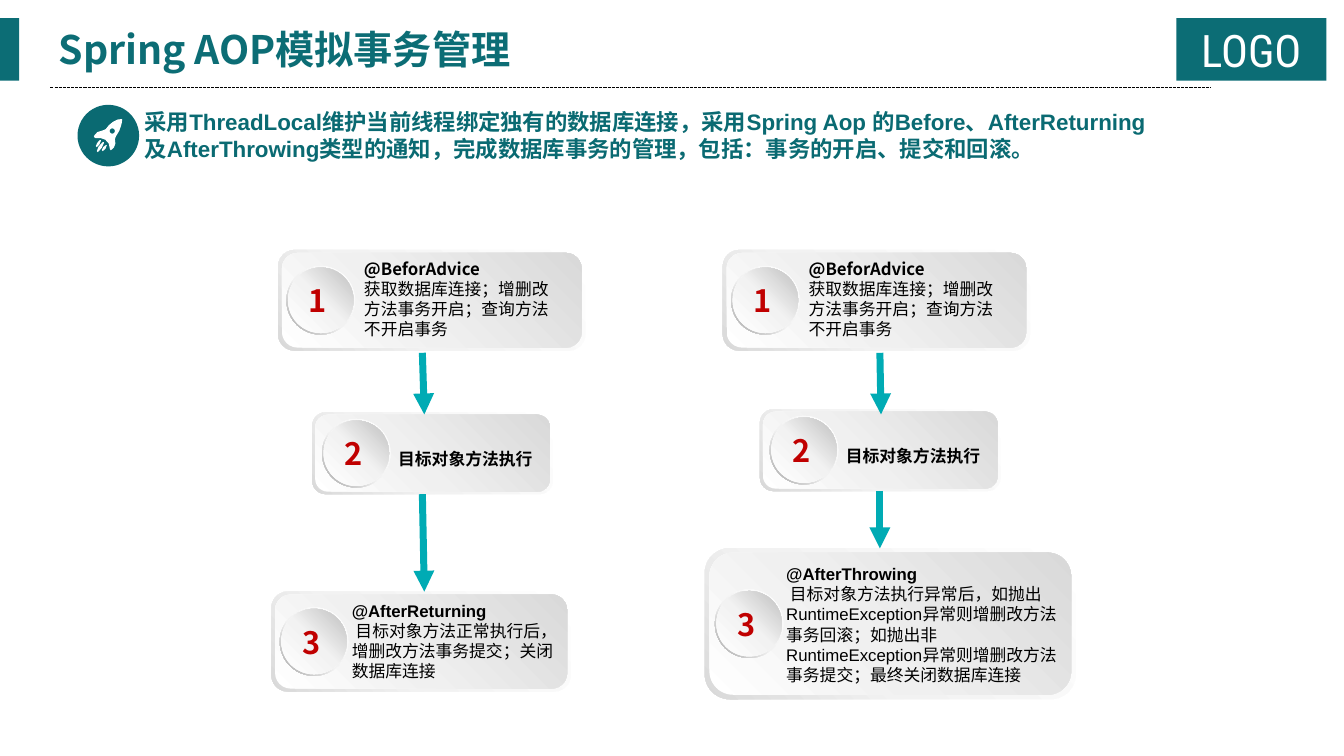
from copy import deepcopy
from math import cos, pi, sin

from lxml import etree
from pptx import Presentation
from pptx.dml.color import RGBColor
from pptx.enum.dml import MSO_LINE
from pptx.enum.shapes import MSO_CONNECTOR, MSO_SHAPE as SHAPE
from pptx.enum.text import MSO_ANCHOR as ANCHOR, PP_ALIGN as ALIGN
from pptx.oxml.ns import qn
from pptx.util import Pt

SANS, ARIAL = "Noto Sans CJK SC", "Arial"
TEAL, DARK_TEAL, ARROW_TEAL = "0C6D75", "0A6A72", "00ABB4"
BADGE = 49

BEFORE = ["@BeforAdvice", "获取数据库连接；增删改方法事务开启；查询方法不开启事务"]
TARGET = ["目标对象方法执行"]
RETURNING = ["@AfterReturning", " 目标对象方法正常执行后，增删改方法事务提交；关闭数据库连接"]
THROWING = ["@AfterThrowing", " 目标对象方法执行异常后，如抛出RuntimeException异常则增删改方法"
            "事务回滚；如抛出非RuntimeException异常则增删改方法事务提交；最终关闭数据库连接"]

# number, card box, badge offset, text box, font, spacing of the heading, text
STEPS = [
    (1, (198.6, 178.5, 219.6, 72), 6, (260, 200, 142, 31), SANS, 0.7, BEFORE),
    (2, (223, 294.5, 172, 58.5), 7, (284.4, 314, 114.5, 28), SANS, None, TARGET),
    (3, (193.8, 422.5, 214, 71.5), 6, (251.3, 426.6, 144, 62.6), ARIAL, None, RETURNING),
    (1, (516.2, 178.5, 219.6, 72), 6, (577.6, 200, 142, 31), SANS, 0.7, BEFORE),
    (2, (542.8, 292.3, 172, 58.5), 7, (604.2, 311.8, 114.5, 28), SANS, None, TARGET),
    (3, (503.4, 391.5, 265, 108), 7.2, (561.6, 414.7, 196, 62.6), ARIAL, None, THROWING),
]
ARROWS = [
    (301.7, 252, 303.1, 296), (301.7, 353, 303.1, 422.6),
    (628.5, 252, 629.3, 296), (628.5, 350.6, 628.5, 391.7),
]
ROCKET_BODY = [
    (87.2, 85), (87.1, 87.2), (86.4, 90), (85.2, 93.4), (82.8, 97.4), (82.1, 99.4),
    (82.4, 102.6), (81.4, 105.3), (79.2, 107.4), (78.5, 106.6), (77.7, 102.6),
    (75.2, 99.8), (72, 98.7), (67.7, 98.6), (67, 97.2), (69.5, 94.4), (74.2, 92.9),
    (75.6, 92.2), (77.8, 89.4), (80.6, 87.1), (84, 85.4),
]
ROCKET_WINDOW = [(80.2 + 1.9 * cos(k * pi / 6), 93.6 - 1.9 * sin(k * pi / 6))
                 for k in range(12)]
ROCKET_FLAMES = [
    [(76.3, 103.7), (75.4, 106.2), (73.4, 108), (72.7, 107.3), (73.8, 105), (75.6, 103.7)],
    [(74.2, 101.5), (74.2, 102.2), (72.6, 105.8), (69.8, 108.7), (69.1, 108),
     (70.5, 104.6), (73.4, 101.5)],
    [(72, 100.1), (72, 100.8), (71, 103.2), (69.1, 105.1), (68.4, 104.4),
     (69.5, 102), (71.3, 100.1)],
]


def rgb(value):
    return RGBColor.from_string(value)


def points(*values):
    return [Pt(value) for value in values]


def add_filled(slide, kind, box, color):
    shape = slide.shapes.add_shape(kind, *points(*box))
    shape.shadow.inherit = False
    shape.line.fill.background()
    shape.fill.solid()
    shape.fill.fore_color.rgb = rgb(color)
    return shape


def add_shaded(slide, kind, box, stops, angle):
    """Add a shape with a three-stop gradient; the angle runs clockwise."""
    shape = add_filled(slide, kind, box, "FFFFFF")
    fill = shape.fill
    fill.gradient()
    stop_list = shape._element.spPr.find(".//" + qn("a:gsLst"))
    stop_list.append(deepcopy(stop_list[-1]))
    for stop, (position, color) in zip(fill.gradient_stops, stops):
        stop.position = position
        stop.color.rgb = rgb(color)
    fill.gradient_angle = 360 - angle
    return shape


def add_text(slide, box, paragraphs, size, color, font=SANS, bold=True,
             align=ALIGN.LEFT, anchor=ANCHOR.TOP):
    frame = slide.shapes.add_textbox(*points(*box)).text_frame
    frame.margin_left = frame.margin_right = 0
    frame.margin_top = frame.margin_bottom = 0
    frame.word_wrap = True
    frame.vertical_anchor = anchor
    frame.text = "\n".join(paragraphs)
    for paragraph in frame.paragraphs:
        paragraph.alignment = align
        for run in paragraph.runs:
            run.font.name, run.font.size, run.font.bold = font, Pt(size), bold
            run.font.color.rgb = rgb(color)
    return frame


def add_line(slide, ends, color, width):
    connector = slide.shapes.add_connector(MSO_CONNECTOR.STRAIGHT, *points(*ends))
    connector.line.color.rgb = rgb(color)
    connector.line.width = Pt(width)
    etree.SubElement(connector._element.spPr, qn("a:effectLst"))
    return connector


def add_arrow(slide, ends):
    arrow = add_line(slide, ends, ARROW_TEAL, 5)
    etree.SubElement(arrow.line._get_or_add_ln(), qn("a:tailEnd"), type="triangle")


def add_rocket(slide):
    add_filled(slide, SHAPE.OVAL, (55.4, 74.9, 44, 44), DARK_TEAL)
    body, *details = [[points(*vertex) for vertex in contour]
                      for contour in [ROCKET_BODY, ROCKET_WINDOW, *ROCKET_FLAMES]]
    builder = slide.shapes.build_freeform(*body[0])
    builder.add_line_segments(body[1:])
    for contour in details:
        builder.move_to(*contour[0])
        builder.add_line_segments(contour[1:])
    rocket = builder.convert_to_shape()
    rocket.shadow.inherit = False
    rocket.fill.solid()
    rocket.fill.fore_color.rgb = rgb("FFFFFF")
    rocket.line.fill.background()


def add_badge(slide, left, top, number):
    ring = add_shaded(slide, SHAPE.DONUT, (left, top, BADGE, BADGE),
                      [(0, "FFFFFF"), (0.55, "F2F2F2"), (1, "A6A6A6")], 135)
    ring.adjustments[0] = 0.049
    add_shaded(slide, SHAPE.OVAL, (left + 1.1, top + 1.1, BADGE - 2.2, BADGE - 2.2),
               [(0, "FFFFFF"), (0.51, "F2F2F2"), (1, "BFBFBF")], 315)
    add_text(slide, (left + 16, top + 11.5, 17.3, 26.6), [str(number)], 22, "C00000")


def add_step(slide, number, card, badge_offset, text_box, font, spacing, text):
    left, top, width, height = card
    inset_x, inset_y = width * 0.0125, height * 0.03
    face = (left + inset_x, top + inset_y, width - 2 * inset_x, height - 2 * inset_y)
    add_shaded(slide, SHAPE.ROUNDED_RECTANGLE, card,
               [(0, "FFFFFF"), (0.62, "F2F2F2"), (1, "D9D9D9")], 135)
    add_shaded(slide, SHAPE.ROUNDED_RECTANGLE, face,
               [(0, "FFFFFF"), (0.42, "F0F0F0"), (1, "D9D9D9")], 315)
    add_badge(slide, left + badge_offset, top + (height - BADGE) / 2, number)
    frame = add_text(slide, text_box, text, 12, "000000", font, anchor=ANCHOR.MIDDLE)
    if spacing:
        frame.paragraphs[0].line_spacing = spacing
    for body in frame.paragraphs[1:]:
        body.runs[0].font.bold = False


def add_header(slide):
    rule = add_line(slide, (36, 62.6, 864.7, 62.6), "000000", 0.75)
    rule.line.dash_style = MSO_LINE.SQUARE_DOT
    add_filled(slide, SHAPE.RECTANGLE, (840.2, 13, 107.3, 44.6), TEAL)
    add_text(slide, (840.2, 18.7, 107.3, 33), ["LOGO"], 32, "FFFFFF", "Roboto Condensed",
             bold=False, align=ALIGN.CENTER, anchor=ANCHOR.MIDDLE)
    add_filled(slide, SHAPE.RECTANGLE, (0, 13, 13.7, 44.6), TEAL)
    add_text(slide, (24, 18, 340.5, 39), ["Spring AOP模拟事务管理"], 28, TEAL,
             align=ALIGN.RIGHT)


def main():
    deck = Presentation()
    deck.slide_width, deck.slide_height = points(960, 540)
    slide = deck.slides.add_slide(deck.slide_layouts[6])
    add_header(slide)
    add_rocket(slide)
    add_text(slide, (103.3, 45.2, 790, 70.6), [
        "采用ThreadLocal维护当前线程绑定独有的数据库连接，采用Spring Aop 的Before、AfterReturning",
        "及AfterThrowing类型的通知，完成数据库事务的管理，包括：事务的开启、提交和回滚。",
    ], 16, DARK_TEAL, ARIAL, anchor=ANCHOR.BOTTOM)
    for step in STEPS:
        add_step(slide, *step)
    for ends in ARROWS:
        add_arrow(slide, ends)
    deck.save("out.pptx")


if __name__ == "__main__":
    main()
